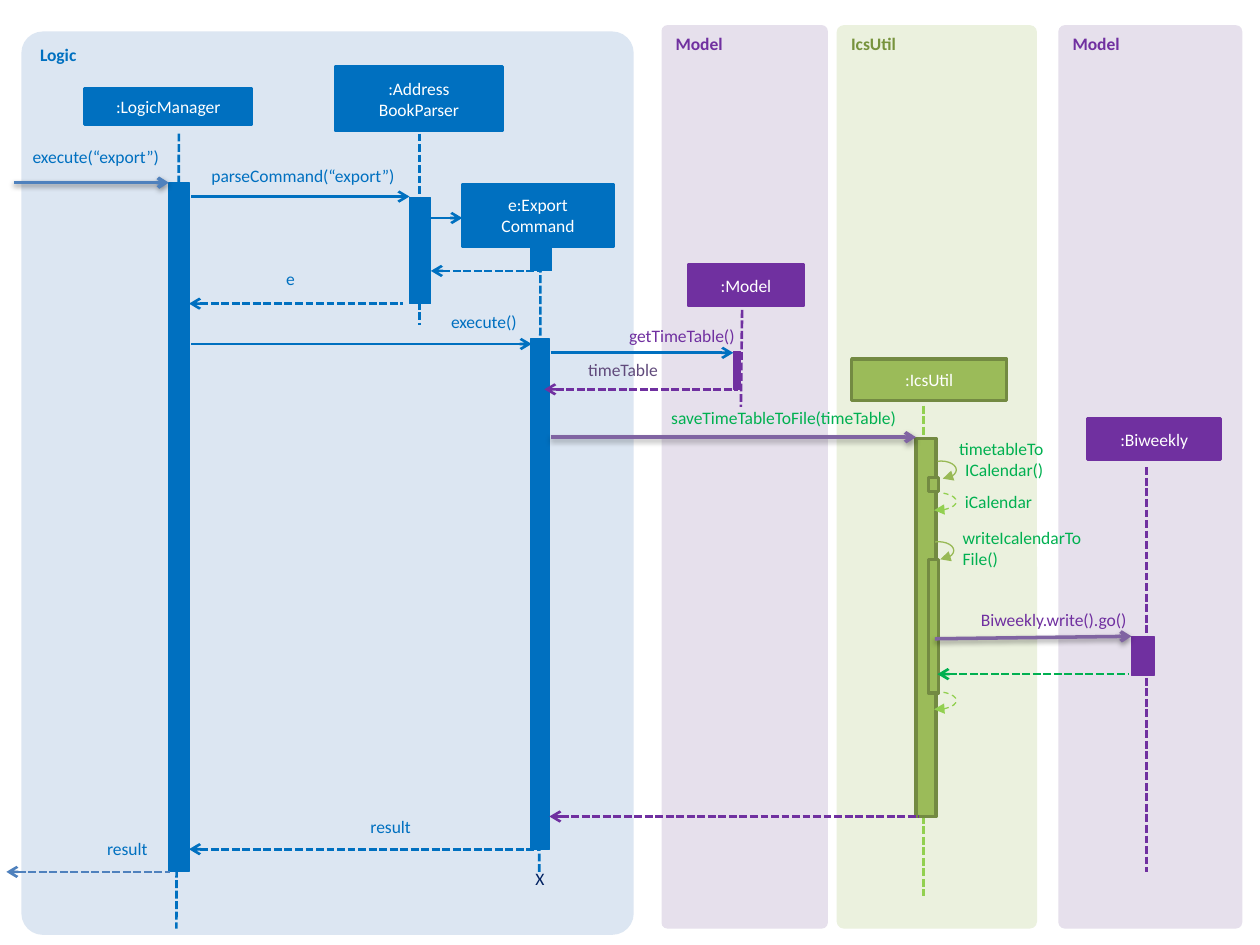
from lxml.etree import SubElement
from pptx import Presentation
from pptx.dml.color import RGBColor
from pptx.enum.dml import MSO_LINE
from pptx.enum.shapes import MSO_CONNECTOR, MSO_SHAPE
from pptx.enum.text import MSO_ANCHOR, MSO_AUTO_SIZE, PP_ALIGN
from pptx.oxml.ns import qn
from pptx.util import Inches, Pt

BLUE, PURPLE, GREEN = "0070C0", "7030A0", "00B050"
STEEL, LILAC, LIME = "4F81BD", "8064A2", "92D050"
OLIVE, OLIVE_EDGE, OLIVE_ARC = "9BBB59", "738A42", "98B955"
DASH = MSO_LINE.SQUARE_DOT
FONT = {"name": "Calibri", "size": Pt(10)}
TIGHT = dict.fromkeys(
    ("margin_left", "margin_top", "margin_right", "margin_bottom"), 0)


def set_all(target, values):
    for key, value in values.items():
        setattr(target, key, value)


def paint(color_format, color):
    color_format.rgb = RGBColor.from_string(color)


def write(frame, text, color, align=PP_ALIGN.LEFT, bold=False):
    frame.text = text
    for paragraph in frame.paragraphs:
        paragraph.alignment = align
        set_all(paragraph.font, {**FONT, "bold": bold})
        paint(paragraph.font.color, color)


def set_line(line, color, width, dash=None):
    paint(line.color, color)
    line.width = Pt(width)
    if dash:
        line.dash_style = dash


def add_arrowhead(part, end, kind):
    SubElement(part.element.spPr.find(qn("a:ln")), qn(f"a:{end}"), type=kind)


def add_block(slide, kind, x, y, w, h, fill=None, edge=None, edge_width=1.5):
    block = slide.shapes.add_shape(kind, *map(Inches, (x, y, w, h)))
    block.shadow.inherit = False
    if fill:
        block.fill.solid()
        paint(block.fill.fore_color, fill)
    else:
        block.fill.background()
    if edge:
        set_line(block.line, edge, edge_width)
    else:
        block.line.fill.background()
    return block


def add_line(slide, x1, y1, x2, y2, color, width=1.5, dash=None, shadow=False):
    line = slide.shapes.add_connector(
        MSO_CONNECTOR.STRAIGHT, *map(Inches, (x1, y1, x2, y2)))
    set_line(line.line, color, width, dash)
    effects = SubElement(line.element.spPr, qn("a:effectLst"))
    if shadow:
        outer = SubElement(effects, qn("a:outerShdw"), blurRad=str(Pt(3.1)),
                           dist=str(Pt(1.6)), dir="5400000", rotWithShape="0")
        black = SubElement(outer, qn("a:srgbClr"), val="000000")
        SubElement(black, qn("a:alpha"), val="38000")
    return line


def add_label(slide, x, y, w, h, text, color, align=PP_ALIGN.RIGHT,
              wrap=True, margins=TIGHT):
    frame = slide.shapes.add_textbox(*map(Inches, (x, y, w, h))).text_frame
    set_all(frame, {**margins, "word_wrap": wrap,
                    "auto_size": MSO_AUTO_SIZE.SHAPE_TO_FIT_TEXT})
    write(frame, text, color, align)


def add_panel(slide, box, title, fill, color):
    panel = add_block(slide, MSO_SHAPE.ROUNDED_RECTANGLE, *box, fill)
    panel.adjustments[0] = 0.035
    panel.text_frame.vertical_anchor = MSO_ANCHOR.TOP
    write(panel.text_frame, title, color, bold=True)


def add_participant(slide, box, name, head, lifeline, bars, color=BLUE,
                    edge=None, line_color=None, edge_width=1.5, bar_edge=0.75):
    """Lifeline, activation bars and head, measured from the panel corner."""
    left, top = box[:2]
    edge = edge or color
    x1, y1, x2, y2 = lifeline
    add_line(slide, left + x1, top + y1, left + x2, top + y2,
             line_color or color, dash=DASH)
    for x, y, w, h in bars:
        add_block(slide, MSO_SHAPE.RECTANGLE, left + x, top + y, w, h,
                  color, edge, bar_edge)
    x, y, w, h = head
    title = add_block(slide, MSO_SHAPE.RECTANGLE, left + x, top + y, w, h,
                      color, edge, edge_width)
    title.text_frame.vertical_anchor = MSO_ANCHOR.MIDDLE
    write(title.text_frame, name, "FFFFFF", PP_ALIGN.CENTER)


def add_self_arc(slide, x, y, returning):
    if returning:
        width, angles, color, dash, end = (
            0.32, (153.902, 37.367), LIME, MSO_LINE.DASH, "headEnd")
    else:
        width, angles, color, dash, end = (
            0.24, (148.661, 47.763), OLIVE_ARC, None, "tailEnd")
    arc = add_block(slide, MSO_SHAPE.ARC, x, y, width, 0.14,
                    edge=color, edge_width=0.75)
    arc.adjustments[0], arc.adjustments[1] = angles
    if dash:
        arc.line.dash_style = dash
        arc.element.spPr.xfrm.set("flipV", "1")
    add_arrowhead(arc, end, "triangle")


def add_logic(slide, box):
    add_panel(slide, box, "Logic", "DCE6F2", BLUE)
    add_participant(slide, box, ":LogicManager", (0.5, 0.45, 1.33, 0.29),
                    (1.25, 0.81, 1.23, 7.12), [(1.17, 1.2, 0.16, 5.47)])
    add_participant(slide, box, ":Address\nBookParser", (2.49, 0.28, 1.33, 0.51),
                    (3.16, 0.81, 3.16, 2.33), [(3.08, 1.32, 0.17, 0.84)])
    add_participant(slide, box, "e:Export\vCommand", (3.5, 1.21, 1.2, 0.5),
                    (4.12, 1.6, 4.11, 6.67),
                    [(4.04, 1.6, 0.17, 0.3), (4.04, 2.44, 0.15, 4.05)])
    # End of the command object
    add_label(slide, box[0] + 3.98, box[1] + 6.59, 0.28, 0.27, "X", "002060",
              PP_ALIGN.LEFT, wrap=False, margins={})


def add_model(slide, box, name, head, lifeline, bar):
    add_panel(slide, box, "Model", "E6E0EC", PURPLE)
    add_participant(slide, box, name, head, lifeline, [bar], PURPLE)


def add_ics_util(slide, box):
    add_panel(slide, box, "IcsUtil", "EBF1DE", "77933C")
    add_participant(slide, box, ":IcsUtil", (0.12, 2.65, 1.23, 0.33),
                    (0.69, 3.02, 0.69, 6.91),
                    [(0.63, 3.28, 0.16, 3), (0.73, 3.59, 0.08, 0.11),
                     (0.73, 4.24, 0.08, 1.06)],
                    OLIVE, OLIVE_EDGE, LIME, edge_width=2, bar_edge=2)
    # Self calls and their returns
    for x, y, returning in [(0.71, 3.46, False), (0.63, 3.71, True),
                            (0.69, 4.1, False), (0.63, 5.29, True)]:
        add_self_arc(slide, box[0] + x, box[1] + y, returning)


def add_messages(slide, box):
    left, top = box[:2]
    # Calls: x1, y1, x2, y2, colour, heavy
    for x1, y1, x2, y2, color, heavy in [
            (0.11, 1.45, 1.34, 1.45, STEEL, True),
            (1.52, 1.56, 3.25, 1.56, BLUE, False),
            (3.29, 1.73, 3.67, 1.73, BLUE, False),
            (1.52, 2.73, 4.22, 2.73, BLUE, False),
            (4.37, 2.8, 5.82, 2.8, BLUE, False),
            (4.37, 3.47, 7.27, 3.47, LILAC, True),
            (7.42, 5.07, 8.98, 5.05, LILAC, True)]:
        call = add_line(slide, left + x1, top + y1, left + x2, top + y2, color,
                        2 if heavy else 1.5, shadow=heavy)
        add_arrowhead(call, "tailEnd", "arrow")
    # Returns: x1, x2, y, colour
    for x1, x2, y, color in [
            (3.42, 4.29, 2.15, BLUE), (1.5, 3.2, 2.41, BLUE),
            (4.32, 5.86, 3.09, PURPLE), (7.44, 8.96, 5.35, GREEN),
            (4.36, 7.29, 6.48, PURPLE), (1.5, 4.28, 6.74, BLUE),
            (0.05, 1.35, 6.92, STEEL)]:
        reply = add_line(slide, left + x1, top + y, left + x2, top + y, color,
                         dash=DASH)
        add_arrowhead(reply, "headEnd", "arrow")
    # Labels: x, y, width, lines, text, colour
    for x, y, width, lines, text, color in [
            (0.17, 1.16, 1.09, 1, "execute(“export”)", BLUE),
            (1.5, 1.31, 1.63, 1, "parseCommand(“export”)", BLUE),
            (2.1, 2.13, 0.24, 1, "e", BLUE),
            (3.56, 2.47, 0.54, 1, "execute()", BLUE),
            (3.66, 2.58, 2.17, 1, "getTimeTable()", PURPLE),
            (3.62, 2.85, 1.6, 1, "timeTable", "604A7B"),
            (5.2, 3.23, 1.91, 1, "saveTimeTableToFile(timeTable)", GREEN),
            (7.58, 3.48, 0.7, 2, "timetableTo ICalendar()", GREEN),
            (7.49, 3.9, 0.7, 1, "iCalendar", GREEN),
            (7.74, 4.83, 1.2, 1, "Biweekly.write().go()", PURPLE),
            (2.58, 6.48, 0.68, 1, "result", BLUE),
            (0.34, 6.65, 0.83, 1, "result", BLUE)]:
        add_label(slide, left + x, top + y, width, 0.17 * lines, text, color)
    add_label(slide, left + 7.64, top + 4.18, 0.96, 0.34,
              "writeIcalendarTo File()", GREEN, PP_ALIGN.LEFT)


def main():
    deck = Presentation()
    deck.slide_width, deck.slide_height = Inches(10), Inches(7.5)
    slide = deck.slides.add_slide(deck.slide_layouts[6])
    add_logic(slide, (0.17, 0.25, 4.86, 7.17))
    add_model(slide, (5.25, 0.2, 1.32, 7.17), ":Model", (0.21, 1.9, 0.92, 0.33),
              (0.64, 2.26, 0.63, 3.03), (0.57, 2.59, 0.06, 0.3))
    add_ics_util(slide, (6.64, 0.2, 1.59, 7.17))
    add_model(slide, (8.4, 0.2, 1.46, 7.17), ":Biweekly",
              (0.23, 3.12, 1.06, 0.33), (0.7, 3.51, 0.7, 6.72),
              (0.58, 4.85, 0.18, 0.31))
    add_messages(slide, (0, 0, 10, 7.5))
    deck.save("out.pptx")


if __name__ == "__main__":
    main()
